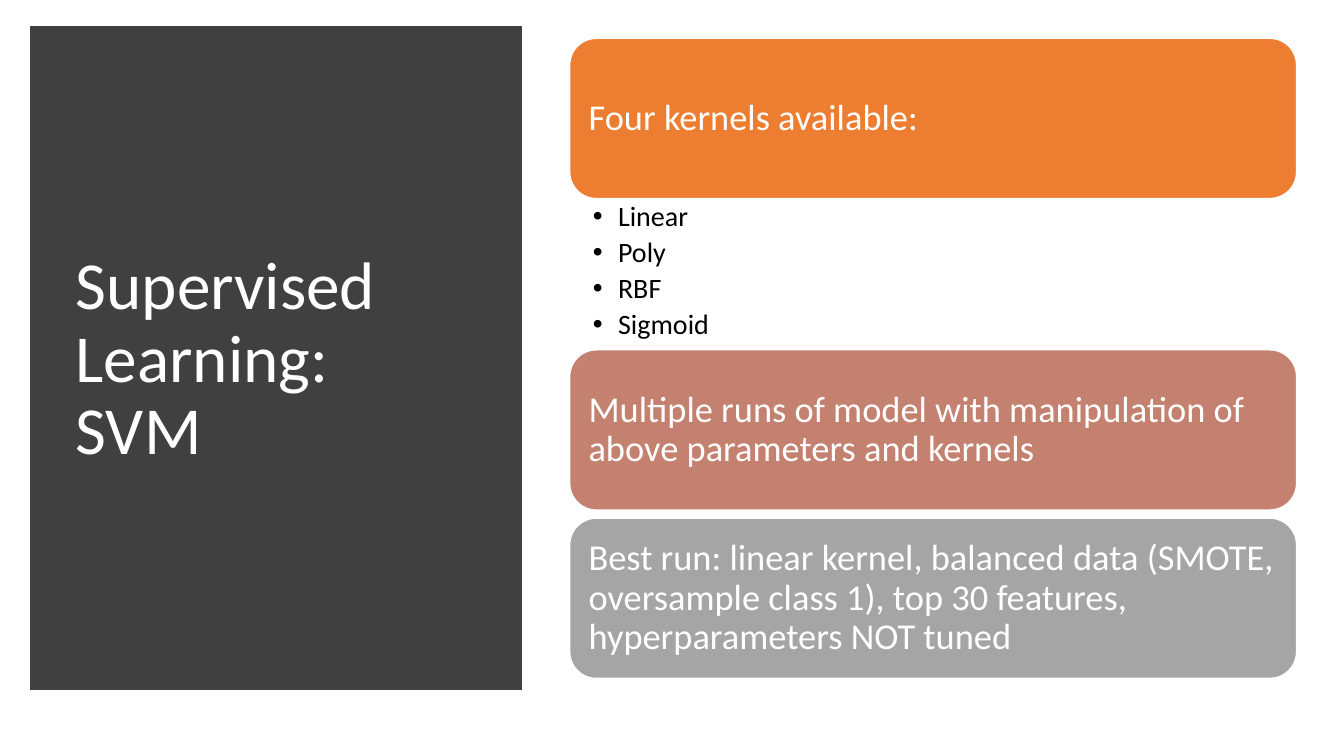
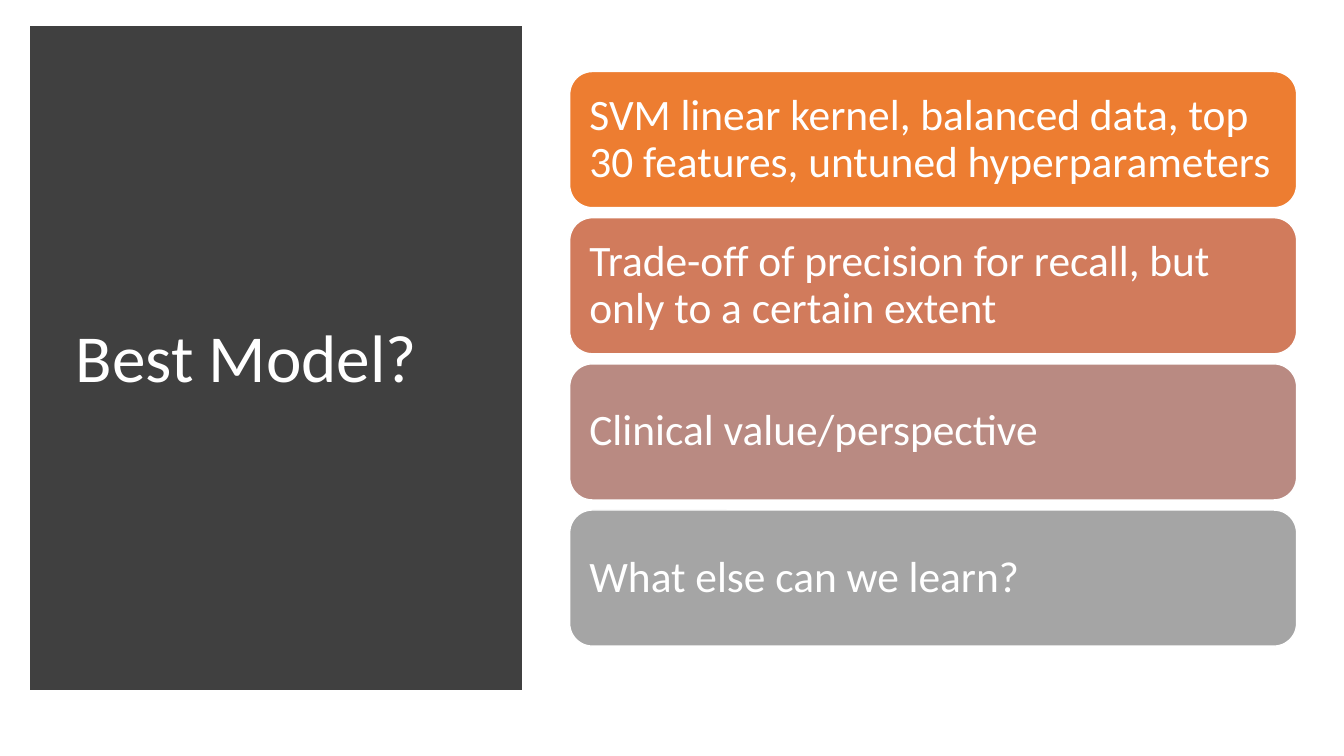
from dataclasses import dataclass

from lxml.etree import SubElement
from pptx import Presentation
from pptx.dml.color import RGBColor
from pptx.enum.shapes import MSO_SHAPE
from pptx.enum.text import MSO_ANCHOR, MSO_AUTO_SIZE, PP_ALIGN
from pptx.oxml.ns import qn
from pptx.util import Emu, Pt

EMU_PER_PX = 9144
TITLE_ONLY_LAYOUT = 5
CARD_LEFT, CARD_WIDTH = 565, 721


@dataclass(frozen=True)
class CardStyle:
    height: int
    gap: int
    margin: int
    size: int


@dataclass(frozen=True)
class Theme:
    font: str = "Calibri"
    panel: str = "404040"
    light: str = "FFFFFF"
    dark: str = "000000"
    orange: str = "ED7D31"
    terracotta: str = "D17B5C"
    clay: str = "C48170"
    rose: str = "B98A82"
    gray: str = "A5A5A5"
    title_size: int = 48
    bullet_size: int = 20
    tall_card: CardStyle = CardStyle(height=159, gap=8, margin=11, size=26)
    short_card: CardStyle = CardStyle(height=135, gap=10, margin=13, size=31)


THEME = Theme()


def px(length):
    return Emu(length * EMU_PER_PX)


def set_margins(text_frame, left, top, right, bottom):
    text_frame.margin_left = px(left)
    text_frame.margin_top = px(top)
    text_frame.margin_right = px(right)
    text_frame.margin_bottom = px(bottom)


def format_paragraph(paragraph, size, color):
    paragraph.alignment = PP_ALIGN.LEFT
    paragraph.line_spacing = 0.9
    paragraph.font.name = THEME.font
    paragraph.font.size = Pt(size)
    paragraph.font.color.rgb = RGBColor.from_string(color)


def add_block(slide, preset, box, fill, line, line_width):
    shape = slide.shapes.add_shape(preset, *map(px, box))
    shape.shadow.inherit = False
    shape.fill.solid()
    shape.fill.fore_color.rgb = RGBColor.from_string(fill)
    shape.line.color.rgb = RGBColor.from_string(line)
    shape.line.width = Pt(line_width)
    outline = shape.element.spPr.find(qn("a:ln"))
    SubElement(outline, qn("a:miter"), lim="800000")
    return shape


def add_titled_slide(presentation, text):
    slide = presentation.slides.add_slide(presentation.slide_layouts[TITLE_ONLY_LAYOUT])
    title = slide.shapes.title
    title.left, title.top, title.width, title.height = map(px, (65, 70, 416, 575))
    text_frame = title.text_frame
    text_frame.auto_size = MSO_AUTO_SIZE.NONE
    text_frame.word_wrap = True
    text_frame.vertical_anchor = MSO_ANCHOR.MIDDLE
    paragraph = text_frame.paragraphs[0]
    paragraph.text = text
    format_paragraph(paragraph, THEME.title_size, THEME.light)
    panel = add_block(slide, MSO_SHAPE.RECTANGLE, (37, 33, 474, 645),
                      THEME.panel, THEME.panel, 10)
    title.element.addprevious(panel.element)
    return slide


def add_card(slide, top, text, fill, style):
    card = add_block(slide, MSO_SHAPE.ROUNDED_RECTANGLE,
                     (CARD_LEFT, top, CARD_WIDTH, style.height), fill, THEME.light, 1)
    text_frame = card.text_frame
    text_frame.word_wrap = True
    text_frame.vertical_anchor = MSO_ANCHOR.MIDDLE
    set_margins(text_frame, *[style.margin] * 4)
    paragraph = text_frame.paragraphs[0]
    paragraph.text = text
    format_paragraph(paragraph, style.size, THEME.light)


def add_card_stack(slide, top, cards, style):
    for index, (text, fill) in enumerate(cards):
        add_card(slide, top + index * (style.height + style.gap), text, fill, style)


def add_bullets(slide, top, height, items):
    box = slide.shapes.add_textbox(*map(px, (CARD_LEFT, top, CARD_WIDTH, height)))
    text_frame = box.text_frame
    text_frame.word_wrap = True
    set_margins(text_frame, 23, 4, 20, 4)
    for index, item in enumerate(items):
        paragraph = text_frame.add_paragraph() if index else text_frame.paragraphs[0]
        paragraph.text = item
        properties = paragraph._p.get_or_add_pPr()
        properties.set("marL", str(px(25)))
        properties.set("indent", str(px(-25)))
        SubElement(properties, qn("a:buFont"), typeface="Arial")
        SubElement(properties, qn("a:buChar"), char="•")
        format_paragraph(paragraph, THEME.bullet_size, THEME.dark)
        paragraph.space_after = Pt(4)


def build_svm_slide(presentation):
    slide = add_titled_slide(presentation, "Supervised Learning:\nSVM")
    add_card(slide, 38, "Four kernels available:", THEME.orange, THEME.tall_card)
    add_bullets(slide, 197, 150, ["Linear", "Poly", "RBF", "Sigmoid"])
    add_card_stack(slide, 347, [
        ("Multiple runs of model with manipulation of above parameters and kernels",
         THEME.clay),
        ("Best run: linear kernel, balanced data (SMOTE, oversample class 1), "
         "top 30 features, hyperparameters NOT tuned", THEME.gray),
    ], THEME.tall_card)


def build_best_model_slide(presentation):
    slide = add_titled_slide(presentation, "Best Model?")
    add_card_stack(slide, 71, [
        ("SVM linear kernel, balanced data, top 30 features, untuned hyperparameters",
         THEME.orange),
        ("Trade-off of precision for recall, but only to a certain extent",
         THEME.terracotta),
        ("Clinical value/perspective", THEME.rose),
        ("What else can we learn?", THEME.gray),
    ], THEME.short_card)


def main():
    presentation = Presentation()
    presentation.slide_width = px(1333)
    presentation.slide_height = px(750)
    build_svm_slide(presentation)
    build_best_model_slide(presentation)
    presentation.save("out.pptx")


if __name__ == "__main__":
    main()
